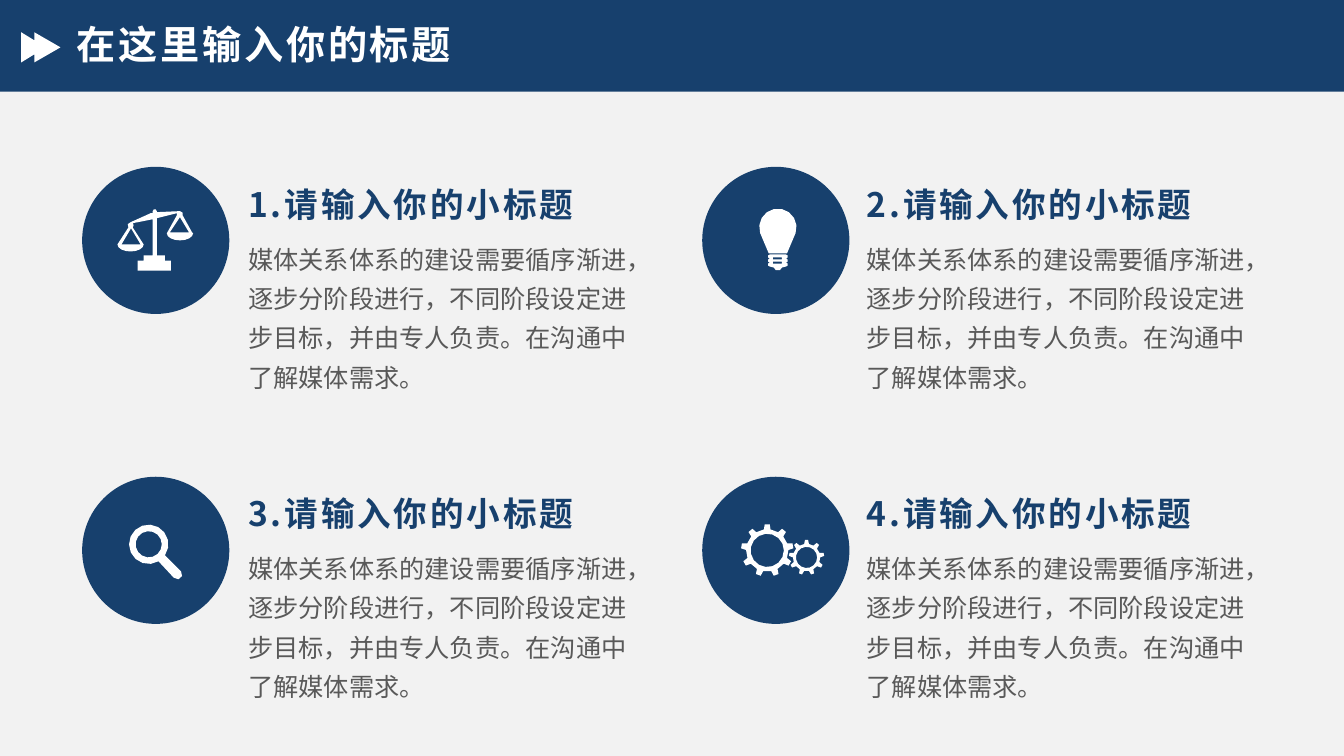
from dataclasses import dataclass
from math import cos, radians, sin

from lxml.etree import SubElement
from pptx import Presentation
from pptx.dml.color import RGBColor
from pptx.enum.shapes import MSO_SHAPE as Preset
from pptx.enum.text import MSO_ANCHOR as Anchor
from pptx.oxml.ns import qn
from pptx.util import Emu, Inches, Pt

Point = tuple[float, float]
Contour = list[Point]

COLUMNS, ROWS = 1333, 750
UNIT = Inches(0.01)


@dataclass(frozen=True)
class Theme:
    navy: str = "17406D"
    paper: str = "F2F2F2"
    white: str = "FFFFFF"
    grey: str = "595959"
    heading_font: str = "Noto Sans CJK SC"
    body_font: str = "Calibri"
    title_size: int = 28
    heading_size: int = 24
    body_size: int = 18


@dataclass(frozen=True)
class Frame:
    left: float
    top: float
    width: float
    height: float

    def lengths(self) -> list[Emu]:
        return [Emu(round(n * UNIT)) for n in (self.left, self.top, self.width, self.height)]


@dataclass(frozen=True)
class Topic:
    heading: str
    icon: list[Contour]


THEME = Theme()
TITLE = "在这里输入你的标题"
BODY = "媒体关系体系的建设需要循序渐进，逐步分阶段进行，不同阶段设定进步目标，并由专人负责。在沟通中了解媒体需求。"
DISC = 146
FIRST_DISC = (81.5, 165.5)
DISC_STEP = (615, 307.5)
FIRST_TEXT = (236.5, 182)
TEXT_STEP = (613.25, 307)
BODY_DROP = 46.25
HEADER_ARROW = [(21, 32), (34, 40), (34, 32), (60, 47), (34, 62), (34, 54), (21, 62)]


def arc(x: float, y: float, radius: float, start: float, end: float,
        height: float | None = None) -> Contour:
    rise = radius if height is None else height
    steps = max(2, round((end - start) / (24 if radius > 8 else 60)))
    angles = [radians(start + (end - start) * n / steps) for n in range(steps + 1)]
    return [(x + radius * cos(a), y + rise * sin(a)) for a in angles]


def circle(x: float, y: float, radius: float) -> Contour:
    return arc(x, y, radius, 0, 360)[:-1]


def gear(x: float, y: float, tip: float, root: float, hole: float,
         tip_turn: float, root_turn: float) -> list[Contour]:
    outline = []
    for tooth in range(9):
        middle = 40 * tooth - 90
        for radius, turn in ((root, -root_turn), (tip, -tip_turn), (tip, tip_turn), (root, root_turn)):
            angle = radians(middle + turn)
            outline.append((x + radius * cos(angle), y + radius * sin(angle)))
    return [outline, circle(x, y, hole)]


def scales() -> list[Contour]:
    outline = [
        *arc(-1, -29, 2, 180, 360), (1, -28), (23, -29),
        *arc(24, -26, 3, 270, 385), (36, -8),
        *arc(24, -7, 13, 0, 180, height=7), (21, -25), (21, -27),
        (1, -22), (1, 15), (9, 15), (9, 20), (15, 20), (15, 30),
        (-18, 30), (-18, 20), (-12, 20), (-12, 15), (-3, 15), (-3, -21), (-23, -17),
        *arc(-25, -15, 3, -30, 45),
        *arc(-25, 4, 13, 0, 180, height=7),
        *arc(-25, -15, 3, 135, 270), (-5, -27), (-3, -27),
    ]
    left_gap = [(-24.5, -12), (-34, 4), (-15, 4)]
    right_gap = [(24, -23), (14, -8), (33, -8)]
    return [outline, left_gap, right_gap]


def bulb() -> list[Contour]:
    globe = [*arc(2, -13, 18.5, 162, 378), (11, 13), (-7, 13)]
    rungs = (16, 20, 24)
    right = [p for y in rungs for p in arc(10, y, 2, -90, 90)]
    left = [p for y in reversed(rungs) for p in arc(-6, y, 2, 90, 270)]
    base = right + arc(2, 27, 4, 0, 180, height=3) + left
    gaps = [[(-3, y), (6, y), (6, y + 2), (-3, y + 2)] for y in (17, 21)]
    return [globe, base, *gaps]


def magnifier() -> list[Contour]:
    outline = arc(-7, -6, 19.5, 60, 394) + arc(21.5, 24, 4.8, -42, 138)
    return [outline, circle(-7, -6, 13)]


def gears() -> list[Contour]:
    return gear(-8.5, 0, 26, 21, 16.5, 5.5, 9) + gear(30.5, 7, 17.5, 13.5, 10.5, 5, 10)


def paint(shape, colour: str) -> None:
    shape.shadow.inherit = False
    shape.fill.solid()
    shape.fill.fore_color.rgb = RGBColor.from_string(colour)
    shape.line.fill.background()


def add_preset(page, preset: Preset, frame: Frame, colour: str) -> None:
    paint(page.shapes.add_shape(preset, *frame.lengths()), colour)


def add_outline(page, contours: list[Contour], colour: str, x: float = 0, y: float = 0) -> None:
    placed = [[((x + a) * UNIT, (y + b) * UNIT) for a, b in contour] for contour in contours]
    builder = page.shapes.build_freeform(*placed[0][0], scale=1.0)
    for number, contour in enumerate(placed):
        if number:
            builder.move_to(*contour[0])
        builder.add_line_segments(contour[1:], close=True)
    paint(builder.convert_to_shape(), colour)


def add_text(page, text: str, frame: Frame, *, font: str, size: int, colour: str,
             bold: bool = False, tracking: int = 0, leading: float = 0.9,
             anchor: Anchor = Anchor.TOP) -> None:
    box = page.shapes.add_textbox(*frame.lengths())
    box.text_frame.word_wrap = True
    box.text_frame.vertical_anchor = anchor
    para = box.text_frame.paragraphs[0]
    para.line_spacing = leading
    span = para.add_run()
    span.text = text
    span.font.size = Pt(size)
    span.font.bold = bold
    span.font.color.rgb = RGBColor.from_string(colour)
    span.font.name = font
    properties = span.font._element
    SubElement(properties, qn("a:ea")).set("typeface", font)
    if tracking:
        properties.set("spc", str(tracking * 100))


def add_topic(page, topic: Topic, column: int, row: int) -> None:
    left = FIRST_DISC[0] + column * DISC_STEP[0]
    top = FIRST_DISC[1] + row * DISC_STEP[1]
    add_preset(page, Preset.OVAL, Frame(left, top, DISC, DISC), THEME.navy)
    add_outline(page, topic.icon, THEME.white, left + DISC / 2, top + DISC / 2)
    text_left = FIRST_TEXT[0] + column * TEXT_STEP[0]
    text_top = FIRST_TEXT[1] + row * TEXT_STEP[1]
    add_text(page, topic.heading, Frame(text_left, text_top, 461, 43),
             font=THEME.heading_font, size=THEME.heading_size, colour=THEME.navy,
             bold=True, tracking=2)
    add_text(page, BODY, Frame(text_left, text_top + BODY_DROP, 410, 40),
             font=THEME.body_font, size=THEME.body_size, colour=THEME.grey, leading=1.3)


def main() -> None:
    deck = Presentation()
    deck.slide_width, deck.slide_height = COLUMNS * UNIT, ROWS * UNIT
    page = deck.slides.add_slide(deck.slide_layouts[6])
    page.background.fill.solid()
    page.background.fill.fore_color.rgb = RGBColor.from_string(THEME.paper)

    add_preset(page, Preset.RECTANGLE, Frame(0, 0, COLUMNS, 91), THEME.navy)
    add_outline(page, [HEADER_ARROW], THEME.white)
    add_text(page, TITLE, Frame(66, 23, 1150, 46), font=THEME.heading_font,
             size=THEME.title_size, colour=THEME.white, bold=True, tracking=2,
             anchor=Anchor.MIDDLE)

    topics = [
        Topic("1.请输入你的小标题", scales()),
        Topic("2.请输入你的小标题", bulb()),
        Topic("3.请输入你的小标题", magnifier()),
        Topic("4.请输入你的小标题", gears()),
    ]
    for number, topic in enumerate(topics):
        row, column = divmod(number, 2)
        add_topic(page, topic, column, row)
    deck.save("out.pptx")


if __name__ == "__main__":
    main()
